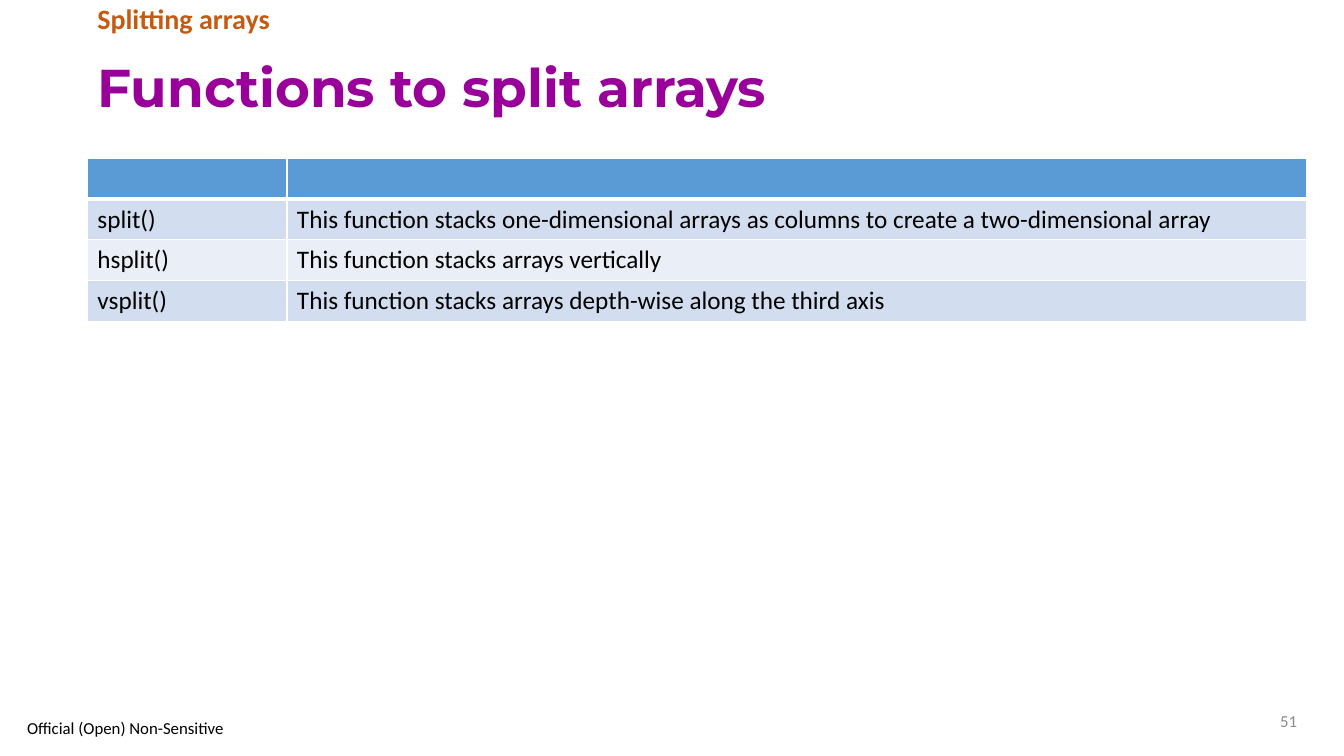
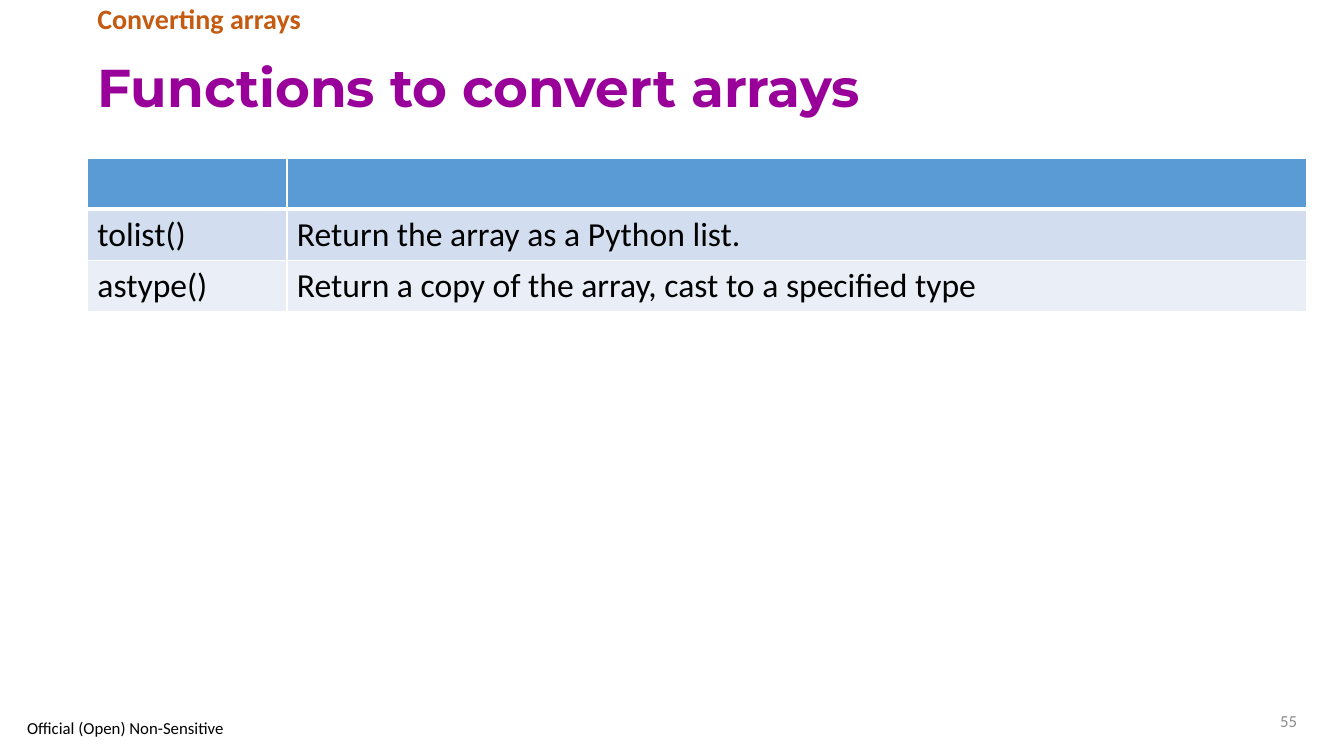
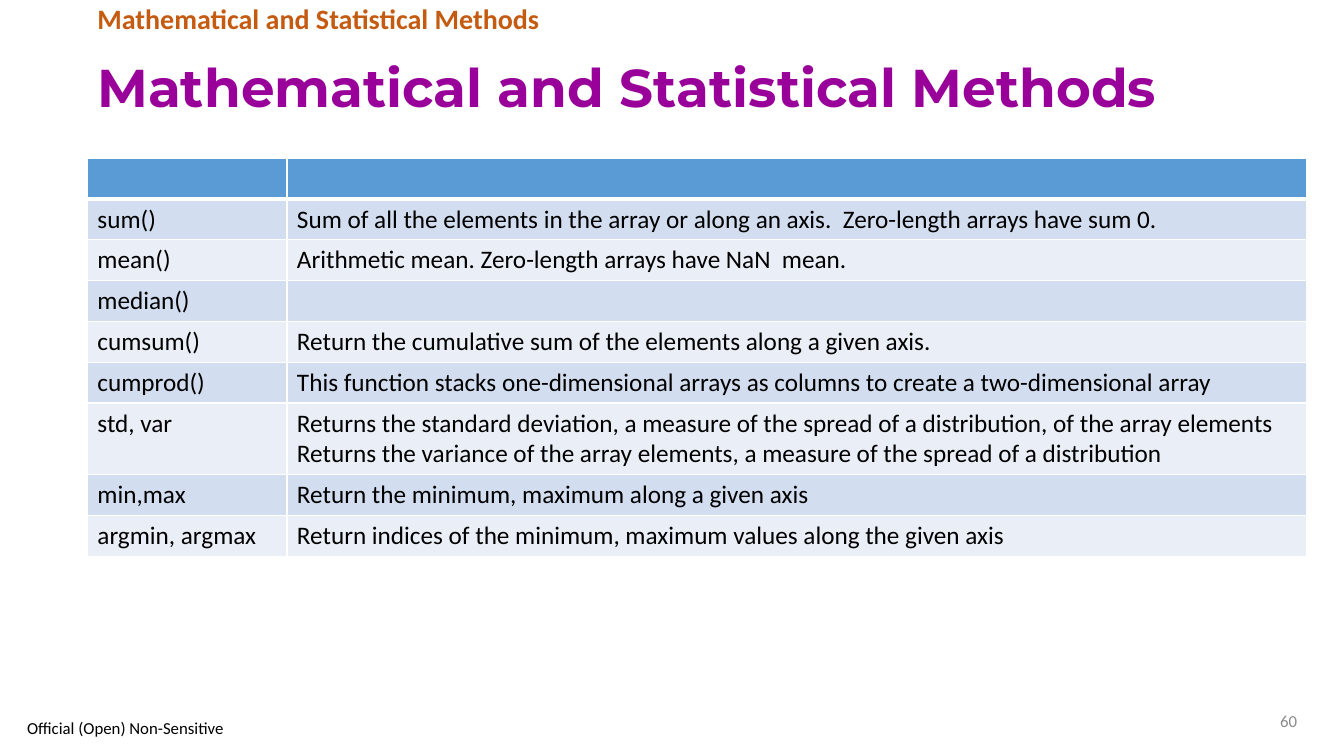
from lxml.etree import SubElement
from pptx import Presentation
from pptx.dml.color import RGBColor
from pptx.enum.text import MSO_ANCHOR, PP_ALIGN
from pptx.oxml.ns import qn
from pptx.util import Inches, Pt

# Shared style
BODY_FONT, TITLE_FONT = "Calibri", "Montserrat"
TITLE, TOPIC, TEXT, MUTED = "990099", "C55A11", "000000", "8C8C8C"
HEADER, BANDS, RULE = "5B9BD5", ("D2DEEF", "EAEFF7"), "FFFFFF"
FOOTER = "Official (Open) Non-Sensitive"

# Shared layout, in percent of the slide's size
LEFT, WIDTH = 6.5, 90.7
TABLE_TOP = 20.93
NAME_COLUMN = 14.85
LINE_HEIGHT = 1.22


def colour(value):
    return RGBColor.from_string(value)


def write(frame, text, size=18, color=TEXT, font=BODY_FONT, bold=False,
          align=PP_ALIGN.LEFT, spacing=1.0):
    """Fill a text frame, one paragraph for each line of the text."""
    frame.word_wrap = True
    for index, line in enumerate(text.split("\n")):
        paragraph = frame.add_paragraph() if index else frame.paragraphs[0]
        paragraph.alignment = align
        paragraph.line_spacing = spacing
        if not line:
            continue
        run = paragraph.add_run()
        run.text = line
        run.font.name = font
        run.font.size = Pt(size)
        run.font.bold = bold
        run.font.color.rgb = colour(color)


def set_borders(cell, top=1, bottom=1):
    """Draw the four cell borders; they must precede the fill."""
    properties = cell._tc.get_or_add_tcPr()
    widths = {"a:lnL": 1, "a:lnR": 1, "a:lnT": top, "a:lnB": bottom}
    for index, (tag, width) in enumerate(widths.items()):
        line = SubElement(properties, qn(tag), w=str(Pt(width)))
        fill = SubElement(line, qn("a:solidFill"))
        SubElement(fill, qn("a:srgbClr"), val=RULE)
        properties.insert(index, line)


class Deck:
    def __init__(self):
        self.presentation = Presentation()
        self.presentation.slide_width = Inches(13.33)
        self.presentation.slide_height = Inches(7.5)
        self.slide = None

    def across(self, percent):
        return round(self.presentation.slide_width * percent / 100)

    def down(self, percent):
        return round(self.presentation.slide_height * percent / 100)

    def text(self, left, top, width, height, text,
             anchor=MSO_ANCHOR.MIDDLE, **style):
        box = self.slide.shapes.add_textbox(
            self.across(left), self.down(top),
            self.across(width), self.down(height))
        box.text_frame.vertical_anchor = anchor
        write(box.text_frame, text, **style)

    def start_slide(self, topic, title, number):
        """Add a slide with its topic, title, page number and footer."""
        layout = self.presentation.slide_layouts[6]
        self.slide = self.presentation.slides.add_slide(layout)
        self.text(LEFT, 5.5, WIDTH, 13, title, size=38, color=TITLE,
                  font=TITLE_FONT, bold=True, spacing=0.9)
        self.text(72.75, 92.67, 24.5, 5.33, number, size=12, color=MUTED,
                  align=PP_ALIGN.RIGHT)
        self.text(LEFT, 0, WIDTH, 5.5, topic, anchor=MSO_ANCHOR.TOP, size=20,
                  color=TOPIC, bold=True, spacing=0.9)
        self.text(1.28, 94.53, 16.8, 3.47, FOOTER, size=12)

    def table(self, functions, size=18):
        """Add a table of functions below an empty header row."""
        rows = [("", "")] + functions
        heights = [
            Pt(size * LINE_HEIGHT * (1 + description.count("\n")))
            + Inches(0.1) for _, description in rows]
        table = self.slide.shapes.add_table(
            len(rows), 2, self.across(LEFT), self.down(TABLE_TOP),
            self.across(WIDTH), sum(heights)).table
        table.first_row = table.horz_banding = False
        table.columns[0].width = self.across(NAME_COLUMN)
        table.columns[1].width = self.across(WIDTH - NAME_COLUMN)
        for index, row in enumerate(rows):
            table.rows[index].height = heights[index]
            fill = BANDS[(index - 1) % 2] if index else HEADER
            for column, text in enumerate(row):
                cell = table.cell(index, column)
                cell.fill.solid()
                cell.fill.fore_color.rgb = colour(fill)
                set_borders(cell, top=3 if index == 1 else 1,
                            bottom=1 if index else 3)
                write(cell.text_frame, text, size=size)


def main():
    deck = Deck()
    stacking = ("This function stacks one-dimensional arrays as columns "
                "to create a two-dimensional array")

    # Splitting
    deck.start_slide("Splitting arrays", "Functions to split arrays", "51")
    deck.table([
        ("split()", stacking),
        ("hsplit()", "This function stacks arrays vertically"),
        ("vsplit()",
         "This function stacks arrays depth-wise along the third axis"),
    ])

    # Converting
    deck.start_slide("Converting arrays", "Functions to convert arrays", "55")
    deck.table([
        ("tolist()", "Return the array as a Python list."),
        ("astype()", "Return a copy of the array, cast to a specified type"),
    ], size=24)

    # Statistics
    methods = "Mathematical and Statistical Methods"
    deck.start_slide(methods, methods, "60")
    deck.table([
        ("sum()", "Sum of all the elements in the array or along an axis.  "
                  "Zero-length arrays have sum 0."),
        ("mean()", "Arithmetic mean. Zero-length arrays have NaN  mean."),
        ("median()", ""),
        ("cumsum()",
         "Return the cumulative sum of the elements along a given axis."),
        ("cumprod()", stacking),
        ("std, var",
         "Returns the standard deviation, a measure of the spread of a "
         "distribution, of the array elements\n"
         "Returns the variance of the array elements, a measure of the "
         "spread of a distribution"),
        ("min,max", "Return the minimum, maximum along a given axis"),
        ("argmin, argmax", "Return indices of the minimum, maximum values "
                           "along the given axis"),
    ])

    deck.presentation.save("out.pptx")


if __name__ == "__main__":
    main()
